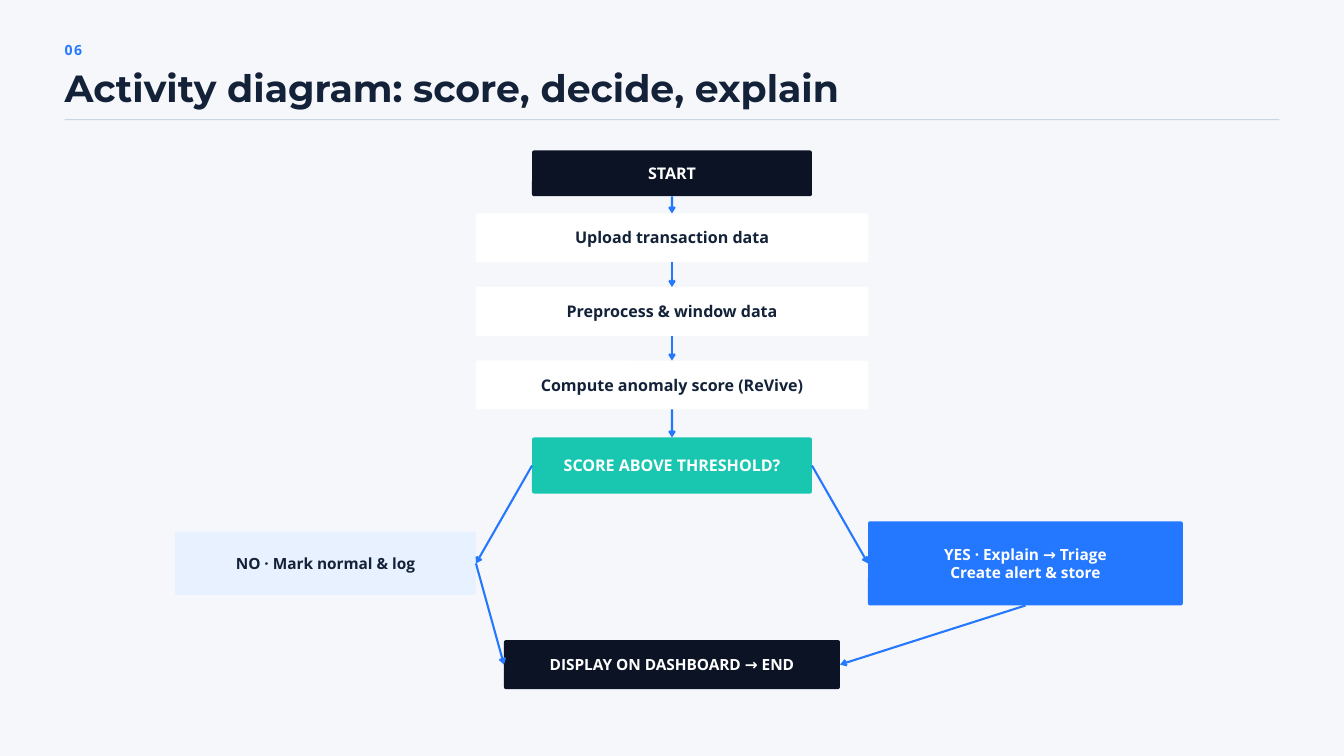
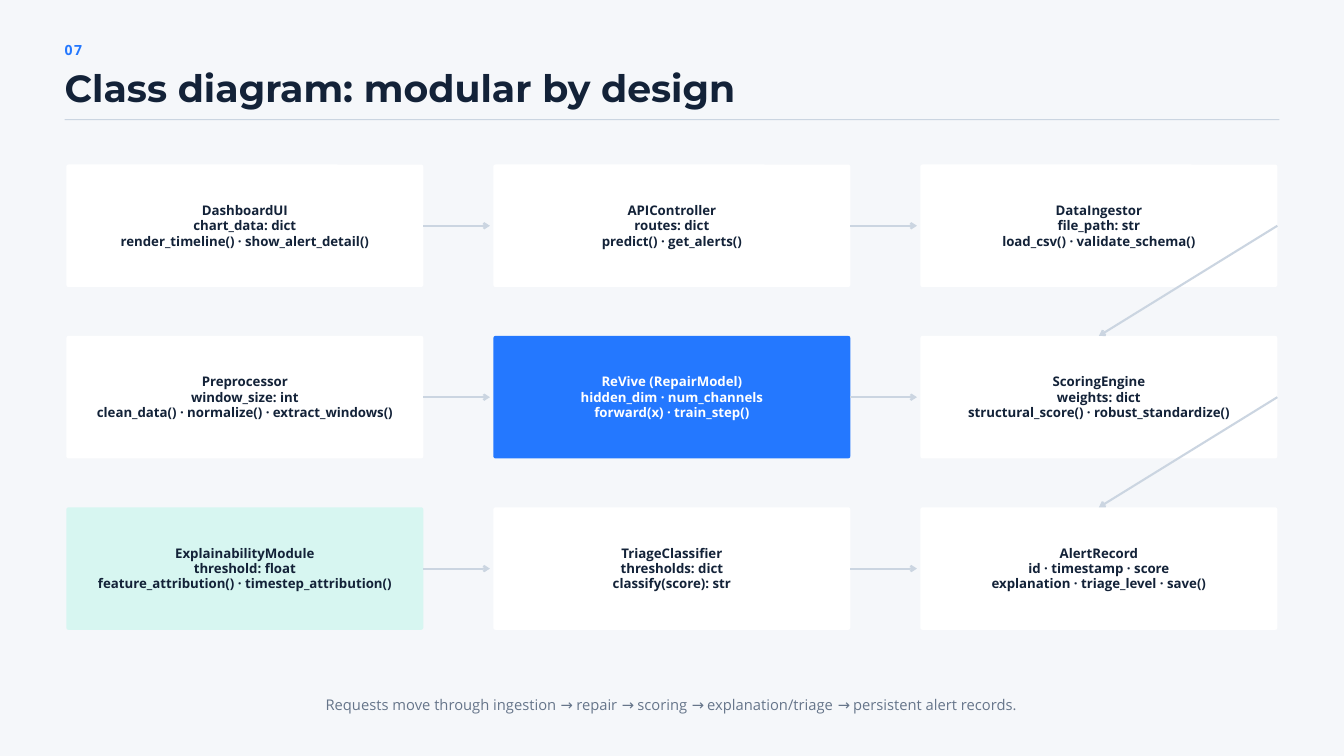
from itertools import pairwise

from lxml.etree import SubElement
from pptx import Presentation
from pptx.dml.color import RGBColor as Rgb
from pptx.enum.shapes import MSO_CONNECTOR as Conn, MSO_SHAPE as Form
from pptx.enum.text import MSO_ANCHOR as Anchor, MSO_AUTO_SIZE as Fit, PP_ALIGN as Align
from pptx.oxml.ns import qn
from pptx.util import Cm, Pt

INK = {
    "page": "F5F7FA", "white": "FFFFFF", "text": "132238", "night": "0B1324",
    "blue": "2478FF", "pale": "E8F1FF", "teal": "19C7B1", "mint": "D7F6F1",
    "rule": "CBD5E1", "note": "66758A",
}
HEAD, BODY = "Montserrat", "Open Sans"
TOP, LEFT, BASE, RIGHT = range(4)
WIDE, TALL = 50.8, 28.58
EDGE = 2.44


def tint(name):
    return Rgb.from_string(INK[name])


class Deck:
    def __init__(self):
        self.prs = Presentation()
        self.prs.slide_width, self.prs.slide_height = Cm(WIDE), Cm(TALL)
        self.slide = None

    def page(self, num, title):
        self.slide = self.prs.slides.add_slide(self.prs.slide_layouts[6])
        back = self.slide.background.fill
        back.solid()
        back.fore_color.rgb = tint("page")
        tag = self.text(num, EDGE, 1.45, 5.28, 0.71, 15, 21, "blue", bold=True)
        tag.runs[0]._r.get_or_add_rPr().set("spc", "180")
        self.text(title, EDGE, 2.67, 39.68, 1.5, 40.5, 42.5, "text", HEAD, True)
        self.shape(Form.RECTANGLE, EDGE, 4.5, WIDE - 2 * EDGE, 0.04, "rule")

    def style(self, para, size, lead, ink, face=BODY, bold=False, align=Align.LEFT):
        para.alignment = align
        para.line_spacing = Pt(lead)
        font = para.font
        font.name, font.size, font.bold = face, Pt(size), bold
        font.color.rgb = tint(ink)

    def text(self, words, x, y, w, h, size, lead, ink, face=BODY, bold=False, align=Align.LEFT):
        frame = self.slide.shapes.add_textbox(Cm(x), Cm(y), Cm(w), Cm(h)).text_frame
        frame.word_wrap = True
        frame.auto_size = Fit.SHAPE_TO_FIT_TEXT
        frame.margin_left = frame.margin_right = frame.margin_top = frame.margin_bottom = 0
        para = frame.paragraphs[0]
        para.text = words
        self.style(para, size, lead, ink, face, bold, align)
        return para

    def shape(self, form, x, y, w, h, fill):
        item = self.slide.shapes.add_shape(form, Cm(x), Cm(y), Cm(w), Cm(h))
        item.shadow.inherit = False
        item.fill.solid()
        item.fill.fore_color.rgb = tint(fill)
        item.line.fill.background()
        return item

    def box(self, lines, x, y, w, h, fill, ink, size, lead):
        item = self.shape(Form.ROUNDED_RECTANGLE, x, y, w, h, fill)
        item.adjustments[0] = 0.08 / min(w, h)
        frame = item.text_frame
        frame.word_wrap = True
        frame.vertical_anchor = Anchor.MIDDLE
        pad = Cm(0.15)
        frame.margin_left = frame.margin_right = frame.margin_top = frame.margin_bottom = pad
        for i, line in enumerate(lines):
            para = frame.add_paragraph() if i else frame.paragraphs[0]
            para.text = line
            self.style(para, size, lead, ink, bold=True, align=Align.CENTER)
        return item

    def arrow(self, start, side, stop, goal, ink, gap=0):
        line = self.slide.shapes.add_connector(Conn.STRAIGHT, 0, 0, 0, 0)
        line.begin_connect(start, side)
        if gap:
            line.end_x = stop.left - Cm(gap)
            line.end_y = stop.top + stop.height // 2
        else:
            line.end_connect(stop, goal)
        line.line.color.rgb = tint(ink)
        line.line.width = Pt(2.25)
        props = line._element.spPr
        SubElement(props.get_or_add_ln(), qn("a:tailEnd"), type="arrow")
        SubElement(props, qn("a:effectLst"))


def flow(deck):
    deck.page("06", "Activity diagram: score, decide, explain")

    def mid(words, y, w, h, fill, ink="white", size=17.2, lead=19.8):
        return deck.box([words], (WIDE - w) / 2, y, w, h, fill, ink, size, lead)

    steps = ["Upload transaction data", "Preprocess & window data", "Compute anomaly score (ReVive)"]
    chain = [mid("START", 5.69, 10.58, 1.73, "night")]
    chain += [mid(step, 8.07 + 2.78 * i, 14.82, 1.85, "white", "text") for i, step in enumerate(steps)]
    test = mid("SCORE ABOVE THRESHOLD?", 16.54, 10.58, 2.12, "teal")
    chain.append(test)
    no = deck.box(["NO · Mark normal & log"], 6.61, 20.11, 11.38, 2.38, "pale", "text", 16.5, 19)
    yes = deck.box(["YES · Explain → Triage", "Create alert & store"],
                   32.81, 19.71, 11.9, 3.18, "blue", "white", 16.5, 19)
    end = mid("DISPLAY ON DASHBOARD → END", 24.2, 12.7, 1.85, "night", size=16.5, lead=19)
    for a, b in pairwise(chain):
        deck.arrow(a, BASE, b, TOP, "blue")
    deck.arrow(test, LEFT, no, RIGHT, "blue")
    deck.arrow(test, RIGHT, yes, LEFT, "blue")
    deck.arrow(no, RIGHT, end, LEFT, "blue")
    deck.arrow(yes, BASE, end, RIGHT, "blue")


def model(deck):
    deck.page("07", "Class diagram: modular by design")
    rows = [
        [("DashboardUI", "chart_data: dict", "render_timeline() · show_alert_detail()"),
         ("APIController", "routes: dict", "predict() · get_alerts()"),
         ("DataIngestor", "file_path: str", "load_csv() · validate_schema()")],
        [("Preprocessor", "window_size: int", "clean_data() · normalize() · extract_windows()"),
         ("ReVive (RepairModel)", "hidden_dim · num_channels", "forward(x) · train_step()"),
         ("ScoringEngine", "weights: dict", "structural_score() · robust_standardize()")],
        [("ExplainabilityModule", "threshold: float", "feature_attribution() · timestep_attribution()"),
         ("TriageClassifier", "thresholds: dict", "classify(score): str"),
         ("AlertRecord", "id · timestamp · score", "explanation · triage_level · save()")],
    ]
    looks = {(1, 1): ("blue", "white"), (2, 0): ("mint", "text")}
    grid = [[deck.box(lines, 2.51 + 16.14 * c, 6.22 + 6.48 * r, 13.49, 4.63,
                      *looks.get((r, c), ("white", "text")), 14.2, 16.4)
             for c, lines in enumerate(row)] for r, row in enumerate(rows)]
    for row in grid:
        for a, b in pairwise(row):
            deck.arrow(a, RIGHT, b, LEFT, "rule", gap=0.13)
    for above, below in pairwise(grid):
        deck.arrow(above[-1], RIGHT, below[-1], TOP, "rule")
    deck.text("Requests move through ingestion → repair → scoring → explanation/triage → persistent alert records.",
              7.94, 26.29, 34.92, 0.69, 15.8, 19.7, "note", align=Align.CENTER)


def main():
    deck = Deck()
    flow(deck)
    model(deck)
    deck.prs.save("out.pptx")


if __name__ == "__main__":
    main()
